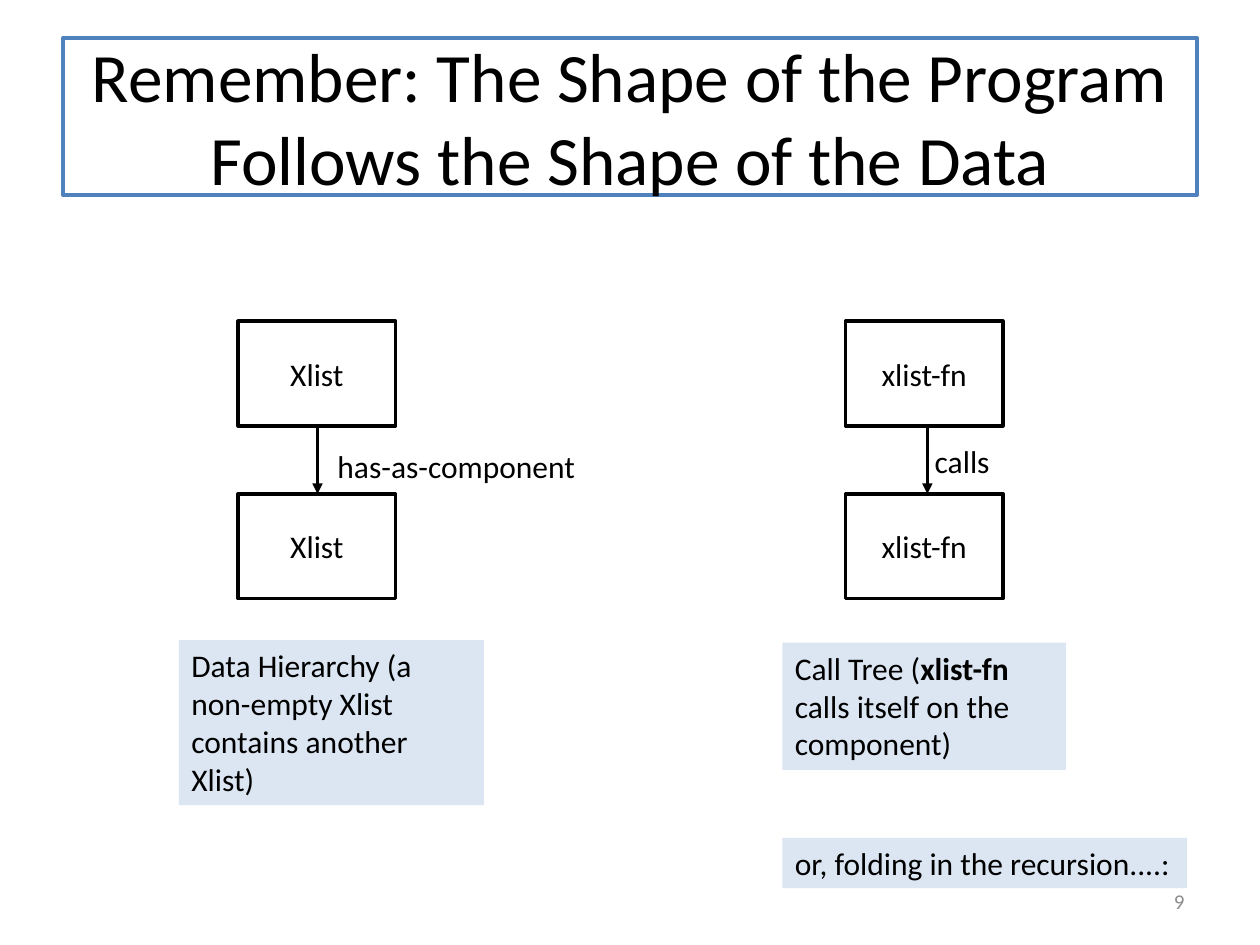
from lxml.etree import SubElement
from pptx import Presentation
from pptx.dml.color import RGBColor
from pptx.enum.shapes import MSO_CONNECTOR, MSO_SHAPE
from pptx.enum.text import MSO_ANCHOR, MSO_AUTO_SIZE, PP_ALIGN
from pptx.oxml.ns import qn
from pptx.util import Inches, Pt

BLACK, WHITE, BLUE, PALE, GREY = "000000", "FFFFFF", "4F81BD", "DCE6F2", "8C8C8C"
BOX_W, BOX_H = 1.25, 0.83
ROWS = (2.55, 3.92)


def rgb(code):
    return RGBColor.from_string(code)


def place(shape, spot):
    for name, val in zip(("left", "top", "width", "height"), spot):
        setattr(shape, name, Inches(val))


def paint(shape, fill, edge=None):
    shape.fill.solid()
    shape.fill.fore_color.rgb = rgb(fill)
    if edge:
        shape.line.color.rgb = rgb(edge)
        shape.line.width = Pt(2)
    else:
        shape.line.fill.background()


def write(shape, runs, size=18, color=BLACK, align=PP_ALIGN.LEFT, **frame):
    """Fill the shape with one paragraph of (text, bold) runs."""
    body = shape.text_frame
    form = {"word_wrap": True, "auto_size": MSO_AUTO_SIZE.NONE,
            "vertical_anchor": MSO_ANCHOR.TOP, **frame}
    for name, val in form.items():
        setattr(body, name, val)
    para = body.paragraphs[0]
    para.alignment = align
    for text, bold in runs:
        run = para.add_run()
        run.text = text
        look = {"name": "Calibri", "size": Pt(size), "bold": bold}
        for name, val in look.items():
            setattr(run.font, name, val)
        run.font.color.rgb = rgb(color)


def add_title(slide, text):
    title = slide.shapes.title
    place(title, (0.5, 0.3, 9, 1.25))
    paint(title, WHITE, BLUE)
    write(title, [(text, False)], size=39.6, align=PP_ALIGN.CENTER,
          vertical_anchor=MSO_ANCHOR.MIDDLE)


def add_box(slide, spot, fill, edge=None):
    box = slide.shapes.add_shape(MSO_SHAPE.RECTANGLE, *map(Inches, spot))
    box.shadow.inherit = False
    paint(box, fill, edge)
    return box


def add_note(slide, spot, runs, wrap=True):
    write(add_box(slide, spot, PALE), runs, word_wrap=wrap)


def add_label(slide, spot, text, **form):
    label = slide.shapes.add_textbox(*map(Inches, spot))
    write(label, [(text, False)], **form)


def add_arrow(slide, x, top, end):
    line = slide.shapes.add_connector(
        MSO_CONNECTOR.STRAIGHT, *map(Inches, (x, top, x, end)))
    line.line.color.rgb = rgb(BLACK)
    line.line.width = Pt(1.5)
    SubElement(line.line._get_or_add_ln(), qn("a:tailEnd"), type="triangle")
    SubElement(line._element.spPr, qn("a:effectLst"))


def add_chain(slide, left, stem, text):
    """Stack two equal boxes joined by an arrow at x = stem."""
    for top in ROWS:
        box = add_box(slide, (left, top, BOX_W, BOX_H), WHITE, BLACK)
        write(box, [(text, False)], align=PP_ALIGN.CENTER,
              vertical_anchor=MSO_ANCHOR.MIDDLE)
    add_arrow(slide, stem, ROWS[0] + BOX_H, ROWS[1])


def main():
    deck = Presentation()
    deck.slide_width, deck.slide_height = Inches(10), Inches(7.5)
    slide = deck.slides.add_slide(deck.slide_layouts[5])
    add_title(slide, "Remember: The Shape of the Program "
                     "Follows the Shape of the Data")
    add_label(slide, (7.17, 6.95, 2.33, 0.4), "9", size=12, color=GREY,
              align=PP_ALIGN.RIGHT, vertical_anchor=MSO_ANCHOR.MIDDLE)
    add_note(slide, (1.42, 5.08, 2.42, 1.31),
             [("Data Hierarchy (a non-empty Xlist contains another Xlist)", False)])
    add_note(slide, (6.21, 5.1, 2.25, 1.01),
             [("Call Tree (", False), ("xlist-fn", True),
              (" calls itself on the component)", False)])
    add_chain(slide, 6.71, 7.36, "xlist-fn")
    add_chain(slide, 1.89, 2.52, "Xlist")
    add_label(slide, (2.58, 3.5, 2.49, 0.4), "has-as-component")
    add_label(slide, (7.32, 3.46, 0.64, 0.4), "calls", word_wrap=False)
    add_note(slide, (6.21, 6.65, 3.21, 0.4),
             [("or, folding in the recursion....:", False)], wrap=False)
    deck.save("out.pptx")


if __name__ == "__main__":
    main()
